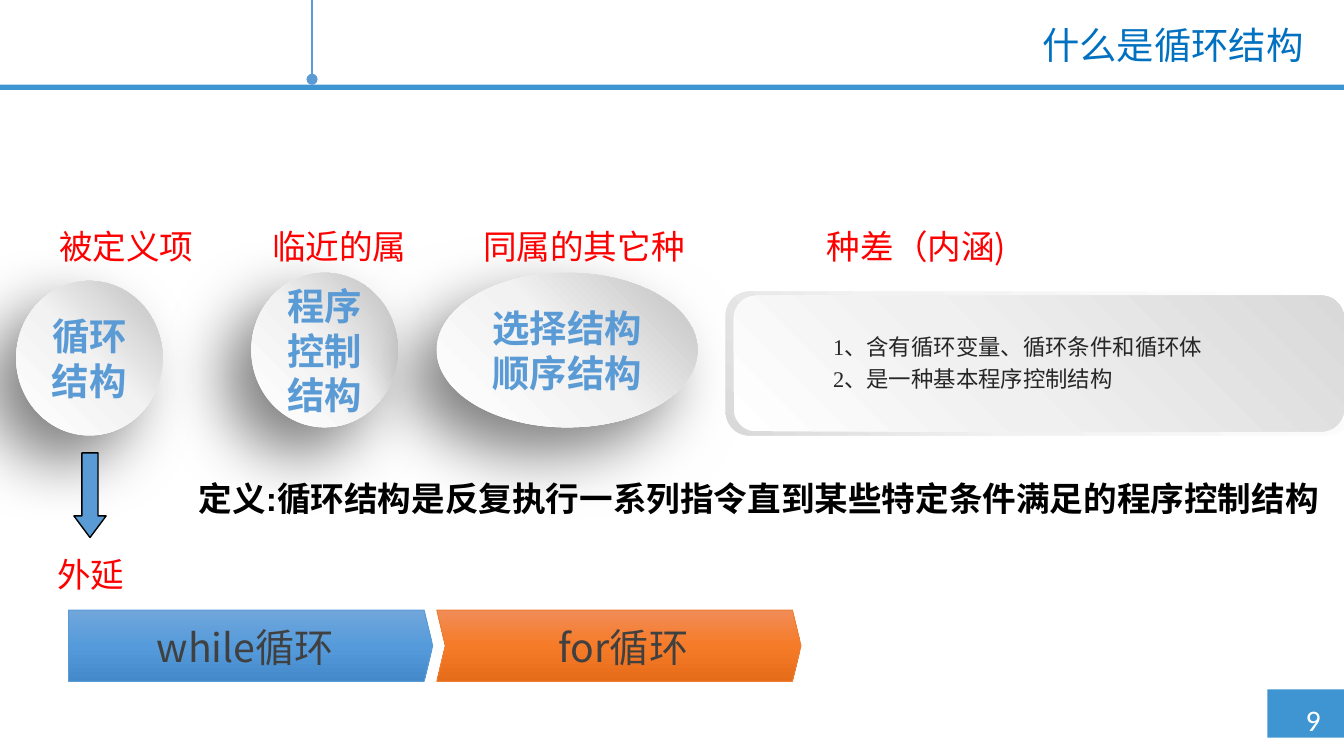
"""Build the slide that defines the loop structure."""
from dataclasses import dataclass

from lxml.etree import SubElement
from pptx import Presentation
from pptx.dml.color import RGBColor
from pptx.enum.shapes import MSO_CONNECTOR, MSO_SHAPE
from pptx.enum.text import MSO_ANCHOR, PP_ALIGN
from pptx.oxml import parse_xml
from pptx.oxml.ns import nsdecls, qn
from pptx.util import Inches, Pt

WIDE = Inches(10)
HIGH = WIDE * 9 // 16
COL, ROW = WIDE / 100, HIGH / 56.25
BAR = RGBColor(0x3F, 0x95, 0xD2)
BLUE = RGBColor(0x5B, 0x9B, 0xD5)
ORANGE = RGBColor(0xED, 0x7D, 0x31)
TITLE = RGBColor(0x00, 0x70, 0xC0)
RED = RGBColor(0xFF, 0x00, 0x00)
WHITE = RGBColor(0xFF, 0xFF, 0xFF)
BLACK = RGBColor(0x00, 0x00, 0x00)
DARK = RGBColor(0x26, 0x26, 0x26)
GREY = RGBColor(0x40, 0x40, 0x40)
PALE = RGBColor(0xF2, 0xF2, 0xF2)
MIST = RGBColor(0xF0, 0xF0, 0xF0)
ASH = RGBColor(0xD9, 0xD9, 0xD9)
STEEL = RGBColor(0xBF, 0xBF, 0xBF)
SKY = (RGBColor(0x71, 0xA6, 0xDB), RGBColor(0x55, 0x9B, 0xDB), RGBColor(0x44, 0x8A, 0xCA))
FIRE = (RGBColor(0xF1, 0x8C, 0x57), RGBColor(0xF6, 0x7B, 0x28), RGBColor(0xE5, 0x6C, 0x19))
SANS = "Noto Sans CJK SC"


@dataclass(frozen=True)
class Box:
    """A place on the grid, in columns and rows."""
    col: float
    row: float
    cols: float
    rows: float

    def area(self) -> tuple[int, int, int, int]:
        """Return left, top, width and height in slide units."""
        return (round(self.col * COL), round(self.row * ROW),
                round(self.cols * COL), round(self.rows * ROW))


@dataclass(frozen=True)
class Style:
    """The look of a block of text."""
    font: str
    size: float
    ink: RGBColor
    bold: bool = False
    align: PP_ALIGN = PP_ALIGN.CENTER
    space: float = 1.0
    anchor: MSO_ANCHOR = MSO_ANCHOR.TOP


@dataclass(frozen=True)
class Fade:
    """A linear gradient of three colours."""
    inks: tuple[RGBColor, RGBColor, RGBColor]
    mid: int
    angle: int


@dataclass(frozen=True)
class Step:
    """A kind of loop in the row of arrows."""
    kind: MSO_SHAPE
    box: Box
    tip: float
    fade: Fade
    edge: RGBColor
    words: str
    label: Box


HEAD = Style("Arial", 20, TITLE, align=PP_ALIGN.RIGHT, space=0.9, anchor=MSO_ANCHOR.MIDDLE)
PAGE = Style("Calibri", 16, WHITE)
TAG = Style(SANS, 18, RED)
BALL = Style("Calibri", 20, BLUE, bold=True, anchor=MSO_ANCHOR.MIDDLE)
NOTE = Style("Times New Roman", 12, DARK, align=PP_ALIGN.LEFT, space=1.2)
RULE = Style("Arial", 18, BLACK, bold=True, align=PP_ALIGN.LEFT)
LOOP = Style(SANS, 21, GREY, anchor=MSO_ANCHOR.MIDDLE)
GLOSS = Fade((WHITE, PALE, STEEL), 51, 315)

TAGS = [
    ("被定义项", Box(2, 16.3, 14.8, 4)),
    ("临近的属", Box(14.1, 16.3, 22.3, 4)),
    ("同属的其它种", Box(32.3, 16.3, 22.3, 4)),
    ("种差（内涵)", Box(58.5, 16.3, 19.4, 4)),
    ("外延", Box(1.2, 40.7, 11.1, 4)),
]
BALLS = [
    (["循环结构"], Box(1.2, 20.9, 10.9, 11.5)),
    (["程序控制结构"], Box(18.7, 20.3, 10.9, 11.5)),
    (["选择结构", "顺序结构"], Box(32.5, 20.3, 19.4, 11.5)),
]
PANELS = [
    (Box(54, 21.7, 46.5, 10.7), Fade((WHITE, PALE, ASH), 62, 135)),
    (Box(54.6, 22, 45.4, 10.1), Fade((WHITE, MIST, ASH), 42, 315)),
]
STEPS = [
    Step(MSO_SHAPE.CHEVRON, Box(32.5, 45.4, 27.1, 5.3), 0.12, Fade(FIRE, 50, 90),
         ORANGE, "for循环", Box(35.6, 46.4, 21.6, 3.5)),
    Step(MSO_SHAPE.PENTAGON, Box(5.1, 45.4, 27.1, 5.3), 0.12, Fade(SKY, 50, 90),
         BLUE, "while循环", Box(6.3, 46.4, 23.9, 3.5)),
]


def write(shape, lines: list[str], style: Style) -> None:
    """Put styled lines into a shape."""
    frame = shape.text_frame
    frame.word_wrap = True
    frame.vertical_anchor = style.anchor
    frame.text = "\n".join(lines)
    for para in frame.paragraphs:
        para.alignment = style.align
        para.line_spacing = style.space
        para.font.name = style.font
        para.font.size = Pt(style.size)
        para.font.bold = style.bold
        para.font.color.rgb = style.ink


def text(slide, box: Box, lines: list[str], style: Style, pad: bool = True) -> None:
    """Add a text box, with or without padding."""
    shape = slide.shapes.add_textbox(*box.area())
    write(shape, lines, style)
    if not pad:
        frame = shape.text_frame
        frame.margin_left = frame.margin_right = frame.margin_top = frame.margin_bottom = 0


def form(slide, kind: MSO_SHAPE, box: Box, fill: RGBColor | Fade,
         edge: RGBColor | None = None, width: float = 0.5):
    """Add a filled preset shape."""
    shape = slide.shapes.add_shape(kind, *box.area())
    shape.shadow.inherit = False
    if edge is None:
        shape.line.fill.background()
    else:
        shape.line.color.rgb = edge
        shape.line.width = Pt(width)
    if isinstance(fill, Fade):
        stops = "".join(f'<a:gs pos="{spot * 1000}"><a:srgbClr val="{ink}"/></a:gs>'
                        for spot, ink in zip((0, fill.mid, 100), fill.inks))
        shape._element.spPr.find(qn("a:prstGeom")).addnext(parse_xml(
            f'<a:gradFill {nsdecls("a")} rotWithShape="1"><a:gsLst>{stops}</a:gsLst>'
            f'<a:lin ang="{fill.angle * 60000}" scaled="0"/></a:gradFill>'))
    else:
        shape.fill.solid()
        shape.fill.fore_color.rgb = fill
    return shape


def shade(shape) -> None:
    """Cast a soft shadow down and to the left."""
    shape._element.spPr.find(qn("a:effectLst")).append(parse_xml(
        f'<a:outerShdw {nsdecls("a")} blurRad="{Pt(35)}" dist="{Pt(20)}" '
        f'dir="{135 * 60000}" algn="tr" rotWithShape="0"><a:srgbClr val="{BLACK}">'
        '<a:alpha val="50000"/></a:srgbClr></a:outerShdw>'))


def frame(slide) -> None:
    """Draw the bars, the pin, the title and the page number."""
    form(slide, MSO_SHAPE.RECTANGLE, Box(94.3, 51.3, 5.7, 3.6), BAR)
    form(slide, MSO_SHAPE.RECTANGLE, Box(0, 6.3, 100, 0.4), BAR)
    text(slide, Box(95.1, 51.7, 5.2, 3.7), ["9"], PAGE)
    left, top, _, tall = Box(23.22, 0, 0, 5.9).area()
    pin = slide.shapes.add_connector(MSO_CONNECTOR.STRAIGHT, left, top, left, tall)
    pin.line.color.rgb = BLUE
    pin.line.width = Pt(0.75)
    SubElement(pin.line._get_or_add_ln(), qn("a:tailEnd"), type="oval")
    SubElement(pin._element.spPr, qn("a:effectLst"))
    text(slide, Box(24, 1.5, 74, 4), ["什么是循环结构"], HEAD)


def main() -> None:
    """Build and save the slide."""
    deck = Presentation()
    deck.slide_width, deck.slide_height = WIDE, HIGH
    slide = deck.slides.add_slide(deck.slide_layouts[6])
    frame(slide)
    for lines, box in BALLS:
        ball = form(slide, MSO_SHAPE.OVAL, box, GLOSS)
        shade(ball)
        write(ball, lines, BALL)
    for words, box in TAGS:
        text(slide, box, [words], TAG)
    for box, fade in PANELS:
        form(slide, MSO_SHAPE.ROUNDED_RECTANGLE, box, fade)
    text(slide, Box(61, 23.9, 31.6, 5.8),
         ["1、含有循环变量、循环条件和循环体", "2、是一种基本程序控制结构"], NOTE)
    text(slide, Box(13.8, 35.1, 87.4, 4),
         ["定义:循环结构是反复执行一系列指令直到某些特定条件满足的程序控制结构"], RULE)
    arrow = form(slide, MSO_SHAPE.DOWN_ARROW, Box(5.5, 33.7, 2.4, 6.3), BLUE, BLACK, 0.75)
    arrow.adjustments[1] = 0.67
    for step in STEPS:
        shape = form(slide, step.kind, step.box, step.fade, step.edge)
        shape.adjustments[0] = step.tip
        text(slide, step.label, [step.words], LOOP, pad=False)
    deck.save("out.pptx")


if __name__ == "__main__":
    main()
